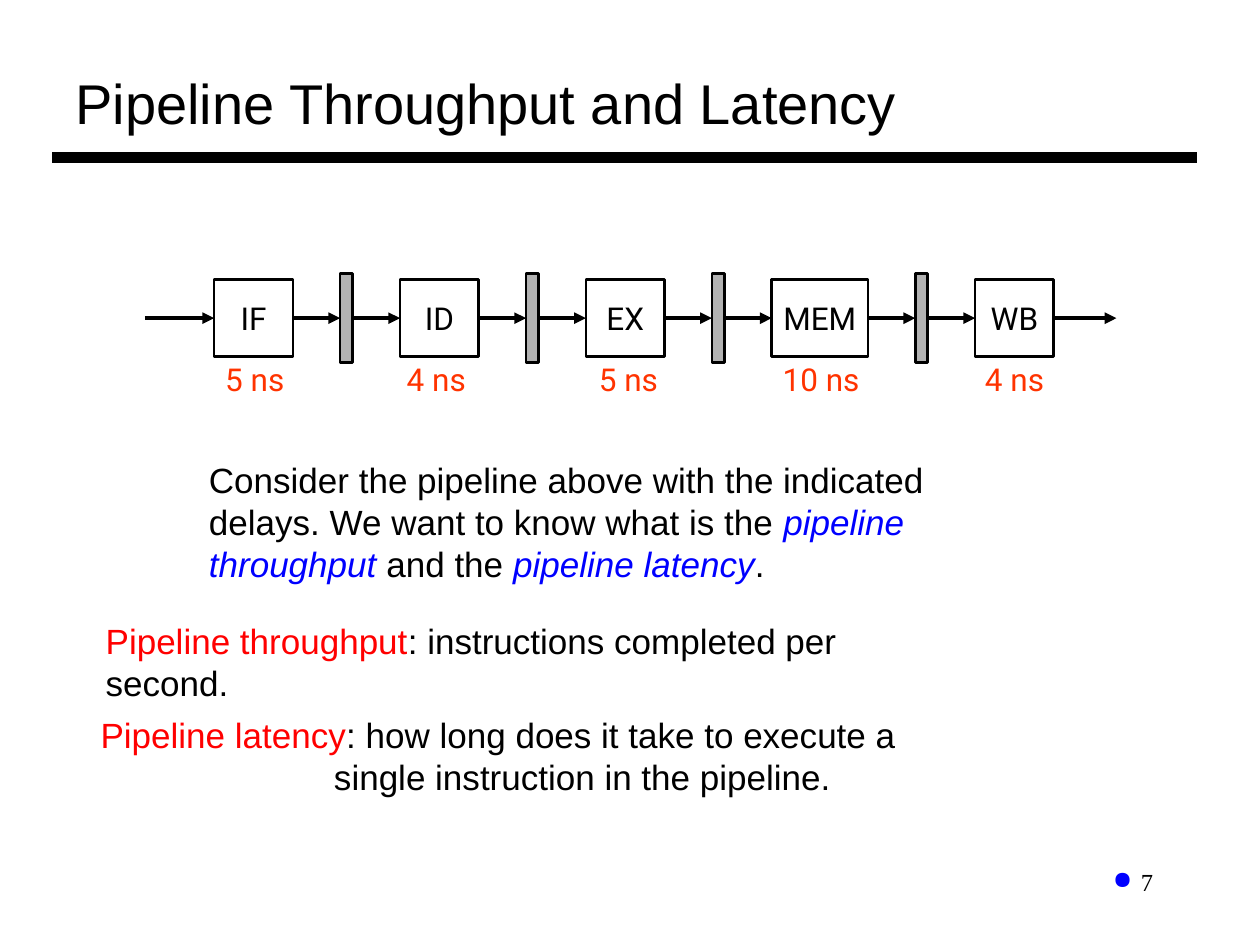
from pptx import Presentation
from pptx.dml.color import RGBColor
from pptx.enum.shapes import MSO_CONNECTOR, MSO_SHAPE
from pptx.enum.text import MSO_ANCHOR, MSO_AUTO_SIZE, PP_ALIGN
from pptx.oxml.ns import qn
from pptx.util import Pt
from lxml import etree

BLACK = RGBColor(0x00, 0x00, 0x00)
WHITE = RGBColor(0xFF, 0xFF, 0xFF)
GRAY = RGBColor(0xB2, 0xB2, 0xB2)
ORANGE = RGBColor(0xFF, 0x33, 0x00)
RED = RGBColor(0xFF, 0x00, 0x00)
BLUE = RGBColor(0x00, 0x00, 0xFF)

STRAIGHT = MSO_CONNECTOR.STRAIGHT
RECTANGLE = MSO_SHAPE.RECTANGLE
TOP, MIDDLE = MSO_ANCHOR.TOP, MSO_ANCHOR.MIDDLE
NO_FIT, FIT_SHAPE = MSO_AUTO_SIZE.NONE, MSO_AUTO_SIZE.SHAPE_TO_FIT_TEXT
LEFT, CENTER, RIGHT = PP_ALIGN.LEFT, PP_ALIGN.CENTER, PP_ALIGN.RIGHT
LEFT_SIDE, RIGHT_SIDE = 1, 3

TITLE_FONT = {"name": "Arial", "size": Pt(32)}
BODY_FONT = {"name": "Arial", "size": Pt(20)}
DIAGRAM_FONT = {"name": "Roboto", "size": Pt(18)}
NUMBER_FONT = {"name": "Times New Roman", "size": Pt(14)}
PLAIN = {"color": BLACK}
TERM = {"color": BLUE, "italic": True}
HEADING = {"color": RED}
DELAY = {"color": ORANGE}

STAGES = [
    ("IF", "5 ns", 45, 49, 0.7),
    ("ID", "4 ns", 45, 49, -1.8),
    ("EX", "5 ns", 45, 49, 1.8),
    ("MEM", "10 ns", 55, 59, 0.7),
    ("WB", "4 ns", 45, 49, 0),
]


def write_text(shape, lines, font, align=LEFT, anchor=MIDDLE, wrap=False):
    frame = shape.text_frame
    frame.word_wrap = wrap
    frame.vertical_anchor = anchor
    for index, runs in enumerate(lines):
        paragraph = frame.add_paragraph() if index else frame.paragraphs[0]
        paragraph.alignment = align
        for text, style in runs:
            run = paragraph.add_run()
            run.text = text
            for name, value in {**font, **style}.items():
                if name == "color":
                    run.font.color.rgb = value
                else:
                    setattr(run.font, name, value)
    return frame.paragraphs


def add_text(slide, box, lines, font, fit=FIT_SHAPE, **layout):
    shape = slide.shapes.add_textbox(*map(Pt, box))
    paragraphs = write_text(shape, lines, font, **layout)
    shape.text_frame.auto_size = fit
    return paragraphs


def add_block(slide, box, fill):
    shape = slide.shapes.add_shape(RECTANGLE, *map(Pt, box))
    shape.shadow.inherit = False
    shape.fill.solid()
    shape.fill.fore_color.rgb = fill
    shape.line.color.rgb = BLACK
    shape.line.width = Pt(1.5)
    return shape


def add_line(slide, start, end, width):
    connector = slide.shapes.add_connector(STRAIGHT, *map(Pt, start + end))
    connector.line.color.rgb = BLACK
    connector.line.width = Pt(width)
    etree.SubElement(connector._element.spPr, qn("a:effectLst"))
    return connector


def add_arrow(slide, start, end, source=None, target=None):
    connector = add_line(slide, start, end, 2.25)
    etree.SubElement(connector.line._get_or_add_ln(), qn("a:tailEnd"), type="triangle")
    if source is not None:
        connector.begin_connect(source, RIGHT_SIDE)
    if target is not None:
        connector.end_connect(target, LEFT_SIDE)


def build_title(slide, box):
    left, top, width, height = box
    paragraphs = add_text(slide, (left + 6, top, 484.6, 50.4),
                          [[("Pipeline Throughput and Latency", PLAIN)]],
                          TITLE_FONT, anchor=TOP)
    paragraphs[0].line_spacing = Pt(43)
    add_line(slide, (left, top + height), (left + width, top + height), 6)


def build_pipeline(slide, box):
    left, top, width, height = box
    gap, lead, latch_width, latch_height, stage_height = 61.2, 39.6, 7.2, 51, 44
    middle = top + latch_height / 2
    blocks = []
    x = left + lead
    for index, (name, delay, stage_width, label_width, shift) in enumerate(STAGES):
        if index:
            latch_left = x - (gap + latch_width) / 2
            blocks.append(add_block(slide, (latch_left, top, latch_width, latch_height), GRAY))
        stage = add_block(slide, (x, middle - stage_height / 2, stage_width, stage_height), WHITE)
        write_text(stage, [[(name, PLAIN)]], DIAGRAM_FONT, align=CENTER)
        blocks.append(stage)
        label_left = x + (stage_width - label_width) / 2 + shift
        add_text(slide, (label_left, top + height - 28.8, label_width, 28.8),
                 [[(delay, DELAY)]], DIAGRAM_FONT, align=CENTER)
        x += stage_width + gap
    entry, leave = (left, middle), (left + width, middle)
    for source, target in zip([None] + blocks, blocks + [None]):
        add_arrow(slide, entry, leave, source, target)


def build_question(slide, box):
    add_text(slide, box, [
        [("Consider the pipeline above with the indicated", PLAIN)],
        [("delays. We want to know what is the ", PLAIN), ("pipeline", TERM)],
        [("throughput", TERM), (" and the ", PLAIN), ("pipeline latency", TERM), (".", PLAIN)],
    ], BODY_FONT)


def build_throughput(slide, box):
    add_text(slide, box, [
        [("Pipeline throughput", HEADING), (": instructions completed per second.", PLAIN)],
    ], BODY_FONT)


def build_latency(slide, box):
    paragraphs = add_text(slide, box, [
        [("Pipeline latency", HEADING), (": how long does it take to execute a", PLAIN)],
        [("single instruction in the pipeline.", PLAIN)],
    ], BODY_FONT, wrap=True)
    paragraphs[1]._p.get_or_add_pPr().set("marL", str(Pt(133.4)))


def build_slide_number(slide, box):
    paragraphs = add_text(slide, box, [[("7", PLAIN)]], NUMBER_FONT, fit=NO_FIT,
                          align=RIGHT, anchor=TOP, wrap=True)
    properties = paragraphs[0]._p.get_or_add_pPr()
    properties.set("marL", str(Pt(16)))
    properties.set("indent", str(-Pt(16)))
    color = etree.SubElement(properties, qn("a:buClr"))
    etree.SubElement(color, qn("a:srgbClr"), val=str(BLUE))
    etree.SubElement(properties, qn("a:buChar"), char="●")


def main():
    presentation = Presentation()
    presentation.slide_width = Pt(720)
    presentation.slide_height = Pt(540)
    slide = presentation.slides.add_slide(presentation.slide_layouts[6])
    build_title(slide, (30, 31, 654, 59))
    build_pipeline(slide, (82.8, 156.3, 555.2, 74.8))
    build_question(slide, (112.3, 258.5, 423.4, 79.2))
    build_throughput(slide, (53.3, 362.2, 507.6, 31.7))
    build_latency(slide, (50.4, 404, 542.2, 55.4))
    build_slide_number(slide, (516.2, 491.8, 149.8, 36))
    presentation.save("out.pptx")


if __name__ == "__main__":
    main()
